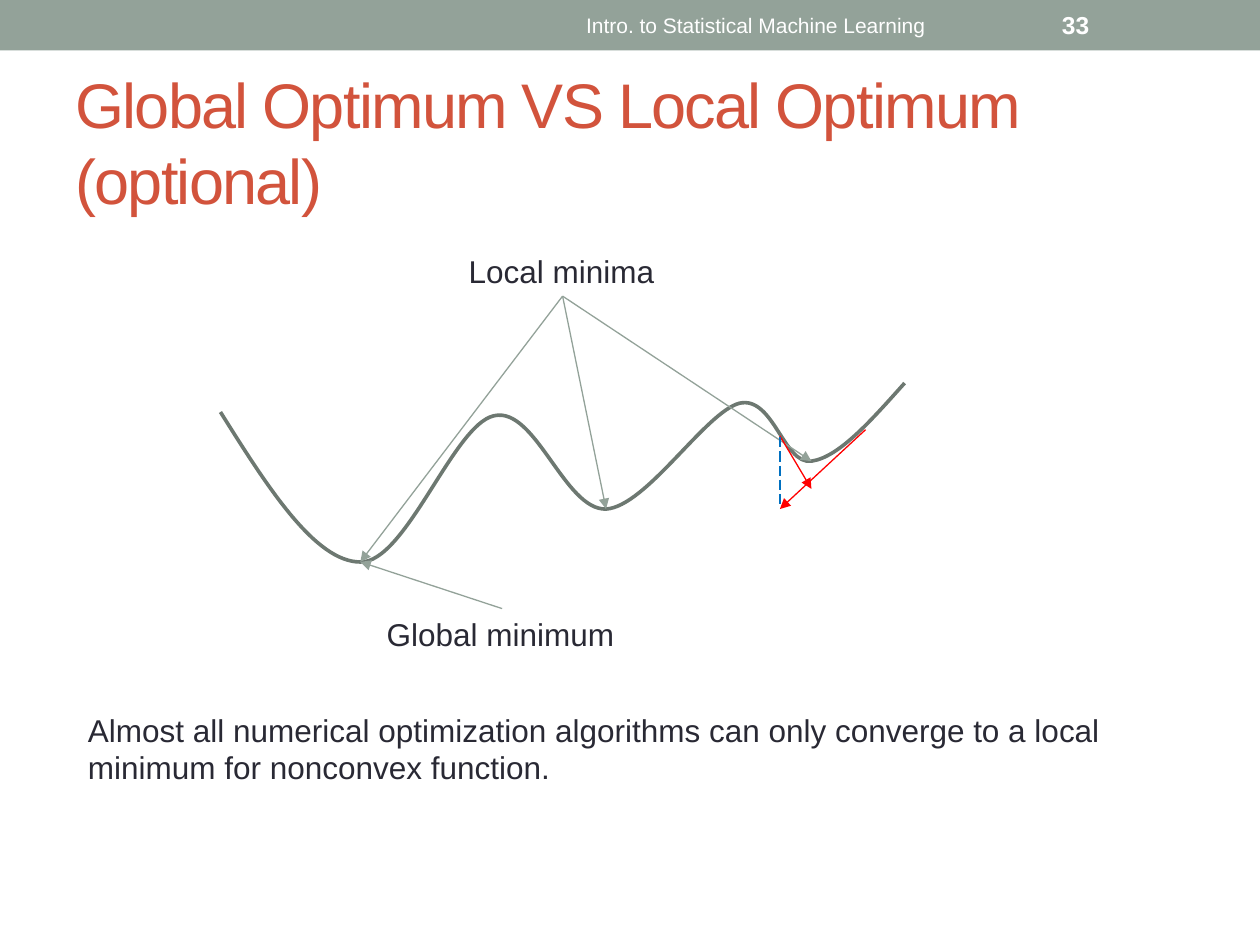
"""Build a slide on global and local optima of a nonconvex function."""
from dataclasses import dataclass

from lxml import etree
from pptx import Presentation, util as u
from pptx.dml.color import RGBColor
from pptx.enum import dml, shapes, text
from pptx.oxml.ns import qn


@dataclass(frozen=True)
class Theme:
    font: str = "Arial"
    band: str = "93A299"
    title: str = "D2533C"
    ink: str = "292934"
    white: str = "FFFFFF"
    curve: str = "6D7871"
    step: str = "FF0000"
    guide: str = "0070C0"
    title_size: int = 36
    body_size: int = 18
    footer_size: int = 12
    number_size: int = 14
    thin: float = 0.75
    thick: float = 2.08


T = Theme()
COLS, ROWS = 10, 7.5
CELL = u.Inches(1)
TOP, BOTTOM = 0, 2

BAND = (0, 0, COLS, 0.4)
MIDDLE = {"anchor": text.MSO_ANCHOR.MIDDLE}
TEXTS = {
    "title": ("Global Optimum VS Local Optimum (optional)",
              (0.5, 0.58, 9, 1.08), T.title_size, T.title, {"spacing": -100, **MIDDLE}),
    "footer": ("Intro. to Statistical Machine Learning",
               (3.75, 0.02, 4.5, 0.36), T.footer_size, T.white,
               {"align": text.PP_ALIGN.CENTER, **MIDDLE}),
    "number": ("33", (8.33, 0.02, 1.17, 0.36), T.number_size, T.white,
               {"bold": True, **MIDDLE}),
    "local": ("Local minima", (3.62, 1.95, 1.69, 0.4), T.body_size, T.ink, {"wrap": False}),
    "global": ("Global minimum", (2.97, 4.83, 2.03, 0.4), T.body_size, T.ink, {"wrap": False}),
    "remark": ("Almost all numerical optimization algorithms can only converge "
               "to a local minimum for nonconvex function.",
               (0.6, 5.59, 9.1, 0.71), T.body_size, T.ink, {}),
}

CURVE_START = (1.75, 3.27)
CURVE = [
    ((2.12, 3.86), (2.5, 4.46), (2.86, 4.46)),
    ((3.22, 4.47), (3.6, 3.37), (3.92, 3.3)),
    ((4.25, 3.22), (4.48, 4.05), (4.81, 4.04)),
    ((5.13, 4.02), (5.6, 3.27), (5.87, 3.2)),
    ((6.14, 3.14), (6.22, 3.69), (6.44, 3.66)),
    ((6.66, 3.63), (6.92, 3.33), (7.18, 3.04)),
]
MINIMA = [CURVE[i][-1] for i in (0, 2, 4)]
POINTERS = [("local", BOTTOM, m) for m in MINIMA] + [("global", TOP, MINIMA[0])]
STEPS = [((6.87, 3.41), (6.19, 4.04)), ((6.19, 3.46), (6.44, 3.88))]
GUIDE = ((6.19, 3.47), (6.19, 4.03))


def grid(*lengths):
    return [u.Emu(round(n * CELL)) for n in lengths]


def rgb(color):
    return RGBColor.from_string(color)


def add_text(s, words, box, size, color, opts):
    sp = s.shapes.add_textbox(*grid(*box))
    tf = sp.text_frame
    tf.word_wrap = opts.get("wrap", True)
    tf.vertical_anchor = opts.get("anchor", text.MSO_ANCHOR.TOP)
    p = tf.paragraphs[0]
    p.alignment = opts.get("align", text.PP_ALIGN.LEFT)
    r = p.add_run()
    r.text = words
    p.font.name, p.font.size = T.font, u.Pt(size)
    p.font.bold = opts.get("bold", False)
    p.font.color.rgb = rgb(color)
    if "spacing" in opts:
        r.font._element.set("spc", str(opts["spacing"]))
    return sp


def add_line(s, start, end, color, arrow=True):
    line = s.shapes.add_connector(shapes.MSO_CONNECTOR.STRAIGHT, *grid(*start, *end))
    line.line.color.rgb = rgb(color)
    line.line.width = u.Pt(T.thin)
    if arrow:
        etree.SubElement(line.line._get_or_add_ln(), qn("a:tailEnd"), type="triangle")
    etree.SubElement(line._element.spPr, qn("a:effectLst"))
    return line


def add_curve(s, start, segments):
    fb = s.shapes.build_freeform(*grid(*start))
    fb.add_line_segments([grid(*segment[-1]) for segment in segments], close=False)
    sp = fb.convert_to_shape()
    for leg, segment in zip(list(sp._element.iter(qn("a:lnTo"))), segments):
        bend = etree.Element(qn("a:cubicBezTo"))
        for x, y in (grid(*pt) for pt in segment):
            etree.SubElement(bend, qn("a:pt"), x=str(x - sp.left), y=str(y - sp.top))
        leg.getparent().replace(leg, bend)
    sp.shadow.inherit = False
    sp.fill.background()
    sp.line.color.rgb = rgb(T.curve)
    sp.line.width = u.Pt(T.thick)


def main():
    prs = Presentation()
    prs.slide_width, prs.slide_height = grid(COLS, ROWS)
    s = prs.slides.add_slide(prs.slide_layouts[6])

    band = s.shapes.add_shape(shapes.MSO_SHAPE.RECTANGLE, *grid(*BAND))
    band.shadow.inherit = False
    band.fill.solid()
    band.fill.fore_color.rgb = rgb(T.band)
    band.line.fill.background()

    boxes = {name: add_text(s, *row) for name, row in TEXTS.items()}
    add_curve(s, CURVE_START, CURVE)
    for name, side, target in POINTERS:
        add_line(s, target, target, T.band).begin_connect(boxes[name], side)
    for start, end in STEPS:
        add_line(s, start, end, T.step)
    guide = add_line(s, *GUIDE, T.guide, arrow=False)
    guide.line.dash_style = dml.MSO_LINE.LONG_DASH

    prs.save("out.pptx")


if __name__ == "__main__":
    main()
